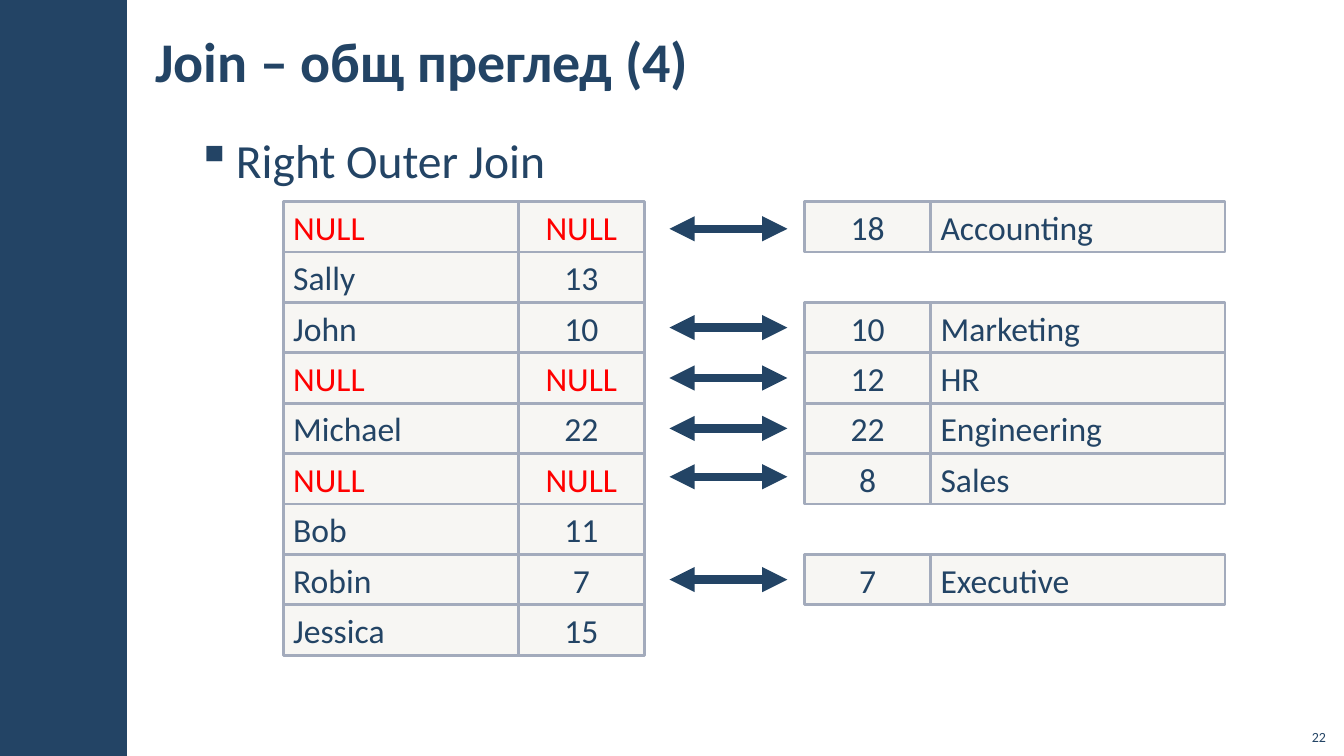
from dataclasses import dataclass

from lxml.etree import SubElement
from pptx import Presentation
from pptx.dml.color import RGBColor
from pptx.enum.shapes import MSO_CONNECTOR as Connector, MSO_SHAPE as Shape
from pptx.enum.text import MSO_ANCHOR as Anchor, PP_ALIGN as Align
from pptx.oxml.ns import qn
from pptx.util import Inches, Pt


@dataclass(frozen=True)
class Theme:
    font: str = "Calibri"
    navy: RGBColor = RGBColor(0x23, 0x44, 0x65)
    sand: RGBColor = RGBColor(0xD9, 0xD5, 0xC7)
    border: RGBColor = RGBColor(0xA3, 0xAB, 0xBC)
    red: RGBColor = RGBColor(0xFF, 0x00, 0x00)
    title_size: int = 40
    body_size: int = 34
    cell_size: int = 24
    number_size: int = 10
    cell_opacity: int = 20
    border_width: int = 2
    arrow_width: int = 6


ROW_TOP, ROW_HEIGHT = 2, 0.5
NAME_LEFT, NAME_WIDTH = 2.81, 2.33
LEFT_KEY, RIGHT_KEY, KEY_WIDTH = 5.14, 7.98, 1.25
DEPARTMENT_LEFT, DEPARTMENT_WIDTH = 9.23, 2.92
ARROW_START, ARROW_END = 6.64, 7.81

JOIN_ROWS = [
    (("NULL", "NULL"), ("18", "Accounting"), 2.27),
    (("Sally", "13"), None, None),
    (("John", "10"), ("10", "Marketing"), 3.25),
    (("NULL", "NULL"), ("12", "HR"), 3.75),
    (("Michael", "22"), ("22", "Engineering"), 4.25),
    (("NULL", "NULL"), ("8", "Sales"), 4.73),
    (("Bob", "11"), None, None),
    (("Robin", "7"), ("7", "Executive"), 5.75),
    (("Jessica", "15"), None, None),
]


class SlideBuilder:
    """Draws styled elements on one slide."""

    def __init__(self, slide, theme):
        self.slide = slide
        self.theme = theme

    def add_text(self, frame, text, size, color=None, bold=False, align=Align.LEFT):
        paragraph = frame.paragraphs[0]
        paragraph.alignment = align
        run = paragraph.add_run()
        run.text = text
        run.font.name = self.theme.font
        run.font.size = Pt(size)
        run.font.bold = bold
        run.font.color.rgb = color or self.theme.navy
        return paragraph

    def rectangle(self, left, top, width, height, color):
        shape = self.slide.shapes.add_shape(
            Shape.RECTANGLE, Inches(left), Inches(top), Inches(width), Inches(height))
        shape.shadow.inherit = False
        shape.fill.solid()
        shape.fill.fore_color.rgb = color
        shape.line.fill.background()
        return shape

    def cell(self, left, top, width, text, align=Align.LEFT):
        shape = self.rectangle(left, top, width, ROW_HEIGHT, self.theme.sand)
        color = shape._element.spPr.find(qn("a:solidFill"))[0]
        SubElement(color, qn("a:alpha"), val=str(self.theme.cell_opacity * 1000))
        shape.line.color.rgb = self.theme.border
        shape.line.width = Pt(self.theme.border_width)
        shape.text_frame.vertical_anchor = Anchor.MIDDLE
        ink = self.theme.red if text == "NULL" else self.theme.navy
        self.add_text(shape.text_frame, text, self.theme.cell_size, ink, align=align)

    def text_box(self, left, top, width, height, anchor, inset=None):
        box = self.slide.shapes.add_textbox(
            Inches(left), Inches(top), Inches(width), Inches(height))
        frame = box.text_frame
        frame.word_wrap = True
        frame.vertical_anchor = anchor
        if inset:
            frame.margin_left = frame.margin_right = Inches(inset[0])
            frame.margin_top = frame.margin_bottom = Inches(inset[1])
        return frame

    def bullet(self, frame, text):
        paragraph = self.add_text(frame, text, self.theme.body_size)
        paragraph.line_spacing = 1.05
        paragraph.space_before = paragraph.space_after = Pt(6)
        properties = paragraph._p.get_or_add_pPr()
        indent = Inches(0.39)
        properties.set("marL", str(indent))
        properties.set("indent", str(-indent))
        SubElement(properties, qn("a:buChar"), char="▪")

    def double_arrow(self, start, end, height):
        connector = self.slide.shapes.add_connector(
            Connector.STRAIGHT, Inches(start), Inches(height), Inches(end), Inches(height))
        connector.line.color.rgb = self.theme.navy
        connector.line.width = Pt(self.theme.arrow_width)
        properties = connector._element.spPr
        line = properties.find(qn("a:ln"))
        for end_tag in ("a:headEnd", "a:tailEnd"):
            SubElement(line, qn(end_tag), type="triangle")
        SubElement(properties, qn("a:effectLst"))


def main():
    presentation = Presentation()
    presentation.slide_width = Inches(13.33)
    presentation.slide_height = Inches(7.5)
    theme = Theme()
    slide = presentation.slides.add_slide(presentation.slide_layouts[6])
    builder = SlideBuilder(slide, theme)

    builder.rectangle(0, 0, 1.26, 7.5, theme.navy)
    title = builder.text_box(1.42, 0.11, 9.43, 0.97, Anchor.MIDDLE, (0.12, 0.04))
    builder.add_text(title, "Join – общ преглед (4)", theme.title_size, bold=True)
    body = builder.text_box(1.83, 1.23, 11.29, 6.07, Anchor.TOP, (0.12, 0.04))
    builder.bullet(body, "Right Outer Join")

    for index, (employee, department, arrow_height) in enumerate(JOIN_ROWS):
        top = ROW_TOP + index * ROW_HEIGHT
        builder.cell(NAME_LEFT, top, NAME_WIDTH, employee[0])
        builder.cell(LEFT_KEY, top, KEY_WIDTH, employee[1], Align.CENTER)
        if department:
            builder.cell(DEPARTMENT_LEFT, top, DEPARTMENT_WIDTH, department[1])
            builder.cell(RIGHT_KEY, top, KEY_WIDTH, department[0], Align.CENTER)
            builder.double_arrow(ARROW_START, ARROW_END, arrow_height)

    number = builder.text_box(12.85, 7.12, 0.4, 0.32, Anchor.BOTTOM)
    builder.add_text(number, "22", theme.number_size, align=Align.RIGHT)
    presentation.save("out.pptx")


if __name__ == "__main__":
    main()
